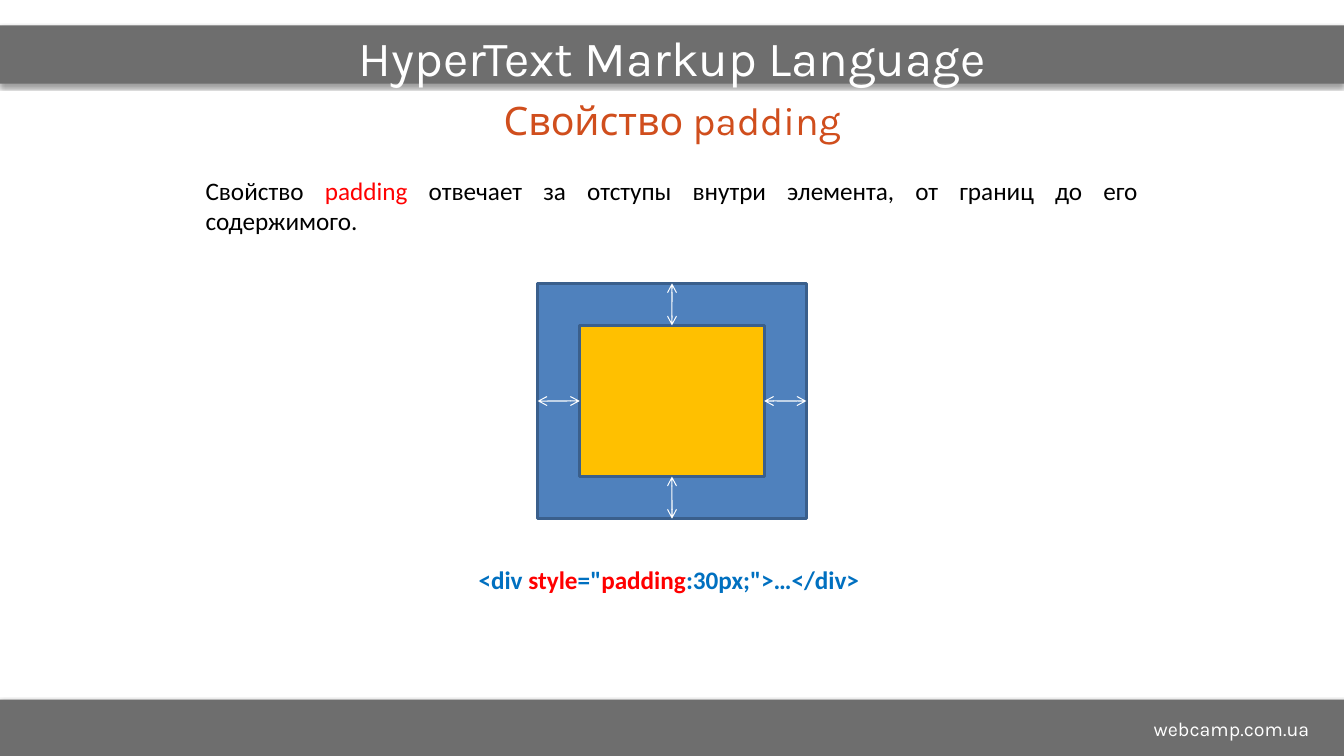
import pptx
import pptx.util
import pptx.dml.color
import pptx.enum.shapes
import pptx.enum.text
import pptx.oxml
import pptx.oxml.ns
from pptx.util import Cm

COLORS = {
    "white": "FFFFFF", "black": "000000", "bar": "6E6E6E",
    "heading": "D04E1D", "red": "FF0000", "code": "0070C0",
    "padding": "4F81BD", "content": "FFC000", "border": "3A5F8C",
}
WIDTH, HEIGHT = 33.87, 19.05
ALIGN = pptx.enum.text.PP_ALIGN
ANCHOR = pptx.enum.text.MSO_ANCHOR


def rgb(name):
    return pptx.dml.color.RGBColor.from_string(COLORS[name])


class SlideBuilder:
    def __init__(self, prs):
        self.s = prs.slides.add_slide(prs.slide_layouts[6])

    def rect(self, x, y, w, h, fill, border=None):
        sp = self.s.shapes.add_shape(
            pptx.enum.shapes.MSO_SHAPE.RECTANGLE, Cm(x), Cm(y), Cm(w), Cm(h))
        sp.shadow.inherit = False
        sp.fill.solid()
        sp.fill.fore_color.rgb = rgb(fill)
        if border:
            sp.line.color.rgb = rgb(border)
            sp.line.width = pptx.util.Pt(2)
        else:
            sp.line.fill.background()
        return sp

    def bar(self, y, h):
        sp = self.rect(0, y, WIDTH, h, "bar")
        effects = sp._element.spPr.find(pptx.oxml.ns.qn("a:effectLst"))
        effects.append(pptx.oxml.parse_xml(
            f'<a:outerShdw {pptx.oxml.ns.nsdecls("a")} blurRad="40000" '
            'dist="20000" dir="5400000" rotWithShape="0">'
            f'<a:srgbClr val="{COLORS["black"]}"><a:alpha val="38000"/>'
            '</a:srgbClr></a:outerShdw>'))

    def text(self, x, y, w, h, runs, size, font, align, anchor=ANCHOR.TOP, bold=False):
        tf = self.s.shapes.add_textbox(Cm(x), Cm(y), Cm(w), Cm(h)).text_frame
        tf.word_wrap = True
        tf.vertical_anchor = anchor
        p = tf.paragraphs[0]
        p.alignment = align
        for words, color in runs:
            r = p.add_run()
            r.text = words
            r.font.size = pptx.util.Pt(size)
            r.font.name = font
            r.font.bold = bold
            r.font.color.rgb = rgb(color)

    def double_arrow(self, start, end, side):
        sp = self.s.shapes.add_connector(
            pptx.enum.shapes.MSO_CONNECTOR.STRAIGHT, 0, 0, 0, 0)
        sp.begin_connect(start, side)
        sp.end_connect(end, side)
        sp.line.color.rgb = rgb("white")
        sp.line.width = pptx.util.Pt(0.75)
        ln = sp.line._get_or_add_ln()
        for tag in ("headEnd", "tailEnd"):
            ln.append(pptx.oxml.parse_xml(
                f'<a:{tag} {pptx.oxml.ns.nsdecls("a")} type="arrow"/>'))
        sp._element.spPr.append(pptx.oxml.parse_xml(
            f'<a:effectLst {pptx.oxml.ns.nsdecls("a")}/>'))


def main():
    prs = pptx.Presentation()
    prs.slide_width, prs.slide_height = Cm(WIDTH), Cm(HEIGHT)
    slide = SlideBuilder(prs)

    slide.bar(17.63, HEIGHT - 17.63)
    slide.bar(0.64, 1.47)
    for y, title, size, color in (
            (0.64, "HyperText Markup Language", 35.1, "white"),
            (2.24, "Свойство padding", 28, "heading")):
        slide.text(5.51, y, 22.86, 1.57, [(title, color)], size, "Karla",
                   ALIGN.CENTER, ANCHOR.MIDDLE)
    slide.text(11.23, 17.93, 22.02, 0.86, [("webcamp.com.ua", "white")],
               14, "Karla", ALIGN.RIGHT)

    slide.text(4.93, 4.29, 24, 12.83, [
        ("Свойство ", "black"),
        ("padding ", "red"),
        ("отвечает за отступы внутри элемента, от границ до его содержимого.", "black"),
    ], 18, "Calibri", ALIGN.JUSTIFY)
    slide.text(11.81, 14.1, 10.24, 1.02, [
        ("<div ", "code"), ("style", "red"), ('="', "code"),
        ("padding", "red"), (':30px;">…</div>', "code"),
    ], 18, "Calibri", ALIGN.LEFT, bold=True)

    x, y, w, h, inset = 13.55, 7.14, 6.77, 5.93, 1.06
    outer = slide.rect(x, y, w, h, "padding", "border")
    inner = slide.rect(x + inset, y + inset, w - 2 * inset, h - 2 * inset,
                       "content", "border")
    for side in range(4):
        slide.double_arrow(outer, inner, side)

    prs.save("out.pptx")


if __name__ == "__main__":
    main()
